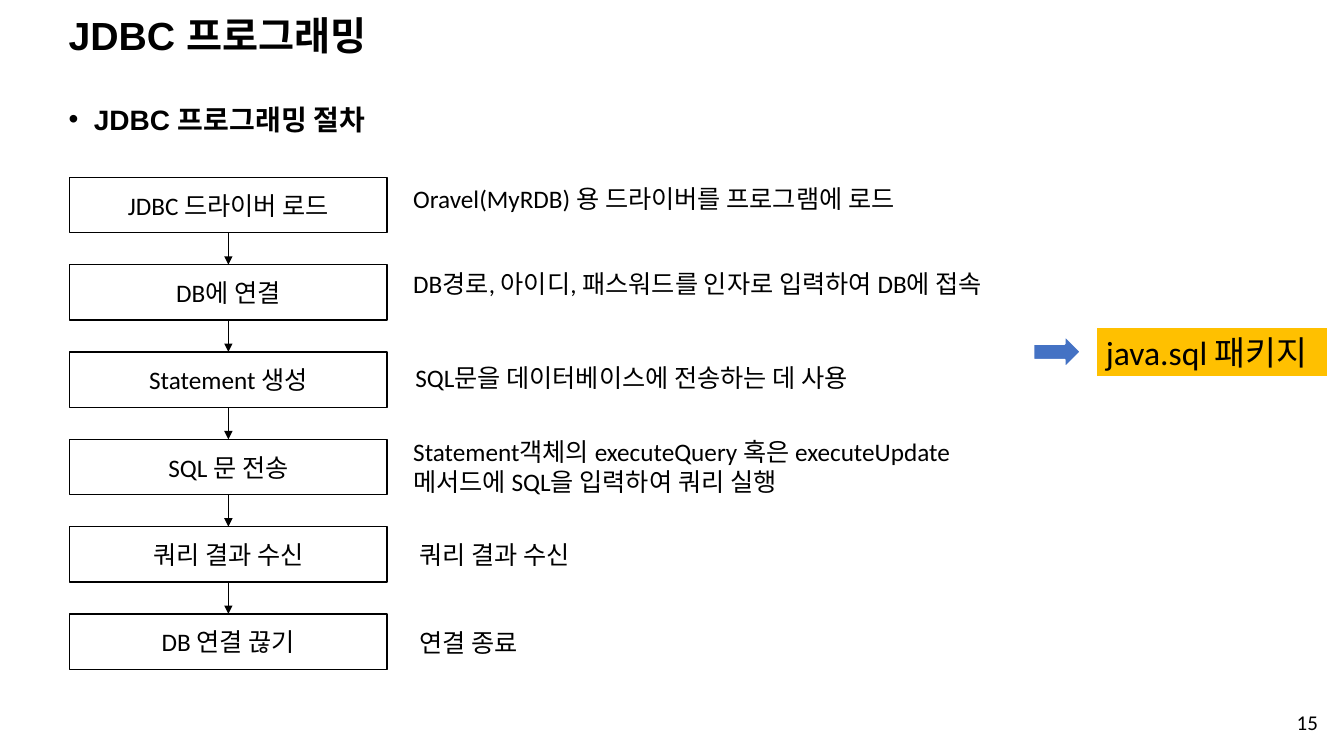
from lxml.etree import SubElement
from pptx import Presentation
from pptx.dml.color import RGBColor
from pptx.enum.shapes import MSO_CONNECTOR, MSO_SHAPE
from pptx.enum.text import MSO_ANCHOR as Anchor, MSO_AUTO_SIZE as AutoSize, PP_ALIGN as Align
from pptx.oxml.ns import qn
from pptx.util import Inches, Pt

COLORS = {"text": "000000", "box": "FFFFFF", "highlight": "FFC000", "arrow": "4472C4"}
STEPS = ["JDBC 드라이버 로드", "DB에 연결", "Statement 생성",
         "SQL 문 전송", "쿼리 결과 수신", "DB 연결 끊기"]
DESCRIPTIONS = [
    ("Oravel(MyRDB) 용 드라이버를 프로그램에 로드", (0, 0.01, 5.25, 0.4)),
    ("DB경로, 아이디, 패스워드를 인자로 입력하여 DB에 접속", (0, 0.85, 6.59, 0.4)),
    ("SQL문을 데이터베이스에 전송하는 데 사용", (0.02, 1.79, 5.05, 0.4)),
    ("Statement객체의 executeQuery 혹은 executeUpdate\n메서드에 SQL을 입력하여 쿼리 실행",
     (0, 2.52, 6.25, 0.71)),
    ("쿼리 결과 수신", (0.06, 3.54, 1.9, 0.4)),
    ("연결 종료", (0.06, 4.41, 1.3, 0.4)),
]


def color(name):
    return RGBColor.from_string(COLORS[name])


def place(shape, box):
    shape.left, shape.top, shape.width, shape.height = map(Inches, box)


def write(shape, text, size, font="Calibri", bold=False, align=Align.LEFT, anchor=Anchor.TOP):
    frame = shape.text_frame
    frame.text = text
    frame.word_wrap = True
    frame.vertical_anchor = anchor
    for paragraph in frame.paragraphs:
        paragraph.alignment = align
        for run in paragraph.runs:
            run.font.size = Pt(size)
            run.font.name = font
            run.font.bold = bold
            run.font.color.rgb = color("text")


def add_block(slide, kind, box, fill, line, line_width):
    shape = slide.shapes.add_shape(kind, *map(Inches, box))
    shape.shadow.inherit = False
    shape.fill.solid()
    shape.fill.fore_color.rgb = color(fill)
    shape.line.color.rgb = color(line)
    shape.line.width = Pt(line_width)
    return shape


def add_title(slide, box):
    title = slide.shapes.title
    place(title, box)
    write(title, "JDBC 프로그래밍", 28, "Arial", True, anchor=Anchor.MIDDLE)
    title.text_frame.paragraphs[0].line_spacing = 0.9


def add_body(slide, box):
    body = slide.placeholders[1]
    place(body, box)
    write(body, "JDBC 프로그래밍 절차", 20, "Arial", True)
    paragraph = body.text_frame.paragraphs[0]
    paragraph.line_spacing = 1.4
    paragraph.space_before = Pt(10)
    paragraph.space_after = Pt(3)
    properties = paragraph._p.get_or_add_pPr()
    properties.set("marL", str(Inches(0.25)))
    properties.set("indent", str(Inches(-0.25)))
    SubElement(properties, qn("a:buFont"), typeface="Arial")
    SubElement(properties, qn("a:buChar"), char="•")


def add_step_arrow(slide, upper, lower):
    middle = upper.left + upper.width // 2
    arrow = slide.shapes.add_connector(
        MSO_CONNECTOR.STRAIGHT, middle, upper.top + upper.height, middle, lower.top)
    arrow.begin_connect(upper, 2)
    arrow.end_connect(lower, 0)
    arrow.line.color.rgb = color("text")
    arrow.line.width = Pt(0.5)
    SubElement(arrow.line._get_or_add_ln(), qn("a:tailEnd"), type="triangle")
    SubElement(arrow._element.spPr, qn("a:effectLst"))


def add_steps(slide, box):
    left, top, width, height = box
    step_height = 0.55
    pitch = (height - step_height) / (len(STEPS) - 1)
    steps = []
    for index, text in enumerate(STEPS):
        step = add_block(slide, MSO_SHAPE.RECTANGLE,
                         (left, top + index * pitch, width, step_height), "box", "text", 1)
        write(step, text, 18, align=Align.CENTER, anchor=Anchor.MIDDLE)
        steps.append(step)
    for upper, lower in zip(steps, steps[1:]):
        add_step_arrow(slide, upper, lower)


def add_descriptions(slide, box):
    for text, (x, y, width, height) in DESCRIPTIONS:
        description = slide.shapes.add_textbox(
            Inches(box[0] + x), Inches(box[1] + y), Inches(width), Inches(height))
        write(description, text, 18)
        description.text_frame.auto_size = AutoSize.SHAPE_TO_FIT_TEXT


def add_package(slide, box):
    left, top, width, height = box
    label_width = 2.3
    label = add_block(slide, MSO_SHAPE.RECTANGLE,
                      (left + width - label_width, top, label_width, height),
                      "highlight", "box", 1.5)
    write(label, "java.sql 패키지", 24)
    label.text_frame.word_wrap = False
    label.text_frame.auto_size = AutoSize.SHAPE_TO_FIT_TEXT
    arrow_height = 0.32
    add_block(slide, MSO_SHAPE.RIGHT_ARROW,
              (left, top + (height - arrow_height) / 2, 0.47, arrow_height),
              "arrow", "box", 1.5)


def add_page_number(slide, box):
    number = slide.shapes.add_textbox(*map(Inches, box))
    write(number, "15", 15, align=Align.RIGHT, anchor=Anchor.MIDDLE)


def main():
    presentation = Presentation()
    presentation.slide_width = Inches(13.33)
    presentation.slide_height = Inches(7.5)
    slide = presentation.slides.add_slide(presentation.slide_layouts[1])
    add_title(slide, (0.58, 0.18, 11.5, 0.38))
    add_body(slide, (0.58, 0.83, 12.14, 6.28))
    add_page_number(slide, (9.42, 6.95, 3.75, 0.42))
    add_steps(slide, (0.69, 1.76, 3.15, 4.88))
    add_descriptions(slide, (4, 1.76, 6.59, 4.88))
    add_package(slide, (10.25, 3.24, 2.92, 0.5))
    presentation.save("out.pptx")


if __name__ == "__main__":
    main()
